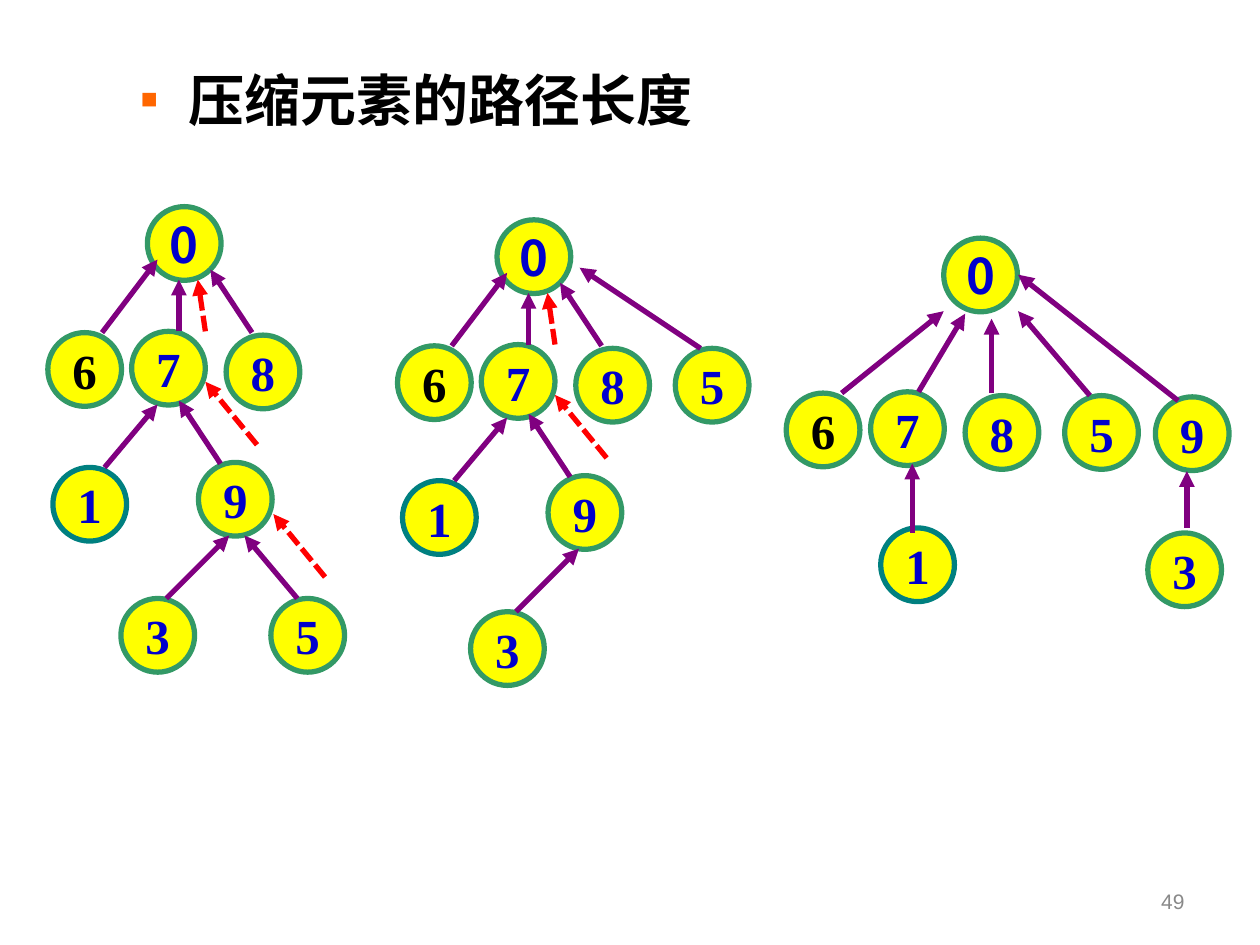
from dataclasses import dataclass

from lxml.etree import SubElement
from pptx import Presentation
from pptx.dml.color import RGBColor
from pptx.enum.dml import MSO_LINE
from pptx.enum.shapes import MSO_CONNECTOR, MSO_SHAPE
from pptx.enum.text import MSO_ANCHOR, PP_ALIGN
from pptx.oxml.ns import qn
from pptx.util import Inches, Pt

COLUMNS, ROWS = 100, 75
CELL = Inches(10) // COLUMNS
NODE_SIZE = 5.85
YELLOW, GREEN, TEAL = "FFFF00", "339966", "008080"
BLUE, BLACK, PURPLE, RED = "0000CC", "000000", "800080", "FF0000"
ORANGE, GREY = "FF6600", "898989"
SERIF, SANS = "Times New Roman", "Noto Sans CJK SC"


@dataclass(frozen=True)
class Node:
    """A labelled circle, placed in cells from its tree's origin."""
    label: str
    column: float
    row: float


@dataclass(frozen=True)
class Arrow:
    """An arrow between two points, in cells from its tree's origin."""
    start: tuple[float, float]
    end: tuple[float, float]
    dashed: bool = False


@dataclass(frozen=True)
class Tree:
    """A tree with its origin on the slide grid."""
    column: float
    row: float
    nodes: tuple[Node, ...]
    arrows: tuple[Arrow, ...]


SHARED_NODES = (
    Node("0", 7.9, 0), Node("6", 0, 10), Node("7", 6.65, 9.9),
    Node("8", 14.15, 10.2), Node("1", 0.4, 20.7), Node("9", 11.95, 20.3),
    Node("3", 5.8, 31.1),
)
SHARED_ARROWS = (
    Arrow((4.3, 10), (8.7, 4.2)),
    Arrow((10.4, 9.9), (10.4, 5.8)),
    Arrow((16.2, 10), (12.9, 5)),
    Arrow((4.5, 20.7), (8.7, 15.7)),
    Arrow((13.7, 20.4), (10.4, 15.4)),
    Arrow((9.4, 31.1), (14.4, 26.1)),
    Arrow((16.6, 18.9), (12.5, 13.9), dashed=True),
    Arrow((12.5, 9.9), (11.9, 5.8), dashed=True),
)
TREES = (
    Tree(3.8, 16.4,
         SHARED_NODES + (Node("5", 17.7, 31.1),),
         SHARED_ARROWS + (Arrow((19.8, 31.1), (15.6, 26.1)),
                          Arrow((22, 29.4), (17.9, 24.4), dashed=True))),
    Tree(31.55, 17.45,
         SHARED_NODES + (Node("5", 22.05, 10.2),),
         SHARED_ARROWS + (Arrow((24.05, 10.2), (14.45, 3.8)),)),
    Tree(62.4, 18.9,
         (Node("0", 12.5, 0), Node("6", 0, 12.3), Node("7", 6.7, 12.2),
          Node("8", 14.2, 12.5), Node("5", 22.1, 12.5), Node("9", 29.3, 12.6),
          Node("1", 7.5, 23), Node("3", 28.7, 23.4)),
         (Arrow((4.4, 12.3), (12.5, 5.8)), Arrow((10.5, 12.2), (14.2, 6)),
          Arrow((16.3, 12.3), (16.3, 6.4)), Arrow((24.1, 12.5), (18.4, 5.8)),
          Arrow((31.1, 12.9), (18.4, 2.9)), Arrow((10, 23.4), (10, 17.9)),
          Arrow((31.8, 23), (31.8, 18.5)))),
)


def cells(*counts: float) -> list[int]:
    """Turn counts of grid cells into lengths."""
    return [round(count * CELL) for count in counts]


def color(value: str) -> RGBColor:
    """Turn a hex string into a colour."""
    return RGBColor.from_string(value)


def write(shape, text: str, *, size: float, font: str, fill: str, bold: bool = False,
          align=PP_ALIGN.LEFT, anchor=MSO_ANCHOR.TOP, wrap: bool = True,
          bullet: str | None = None) -> None:
    """Write one formatted paragraph into a shape."""
    frame = shape.text_frame
    frame.word_wrap = wrap
    frame.vertical_anchor = anchor
    para = frame.paragraphs[0]
    para.alignment = align
    if bullet:
        indent = Inches(0.38)
        properties = para._p.get_or_add_pPr()
        properties.set("marL", str(indent))
        properties.set("indent", str(-indent))
        bullet_color = SubElement(properties, qn("a:buClr"))
        SubElement(bullet_color, qn("a:srgbClr"), val=ORANGE)
        SubElement(properties, qn("a:buSzPct"), val="50000")
        SubElement(properties, qn("a:buFont"), typeface="Arial")
        SubElement(properties, qn("a:buChar"), char=bullet)
    span = para.add_run()
    span.text = text
    span.font.size = Pt(size)
    span.font.bold = bold
    span.font.name = font
    span.font.color.rgb = color(fill)
    SubElement(span._r.get_or_add_rPr(), qn("a:ea"), typeface=font)


def draw_node(page, tree: Tree, node: Node) -> None:
    """Draw a circle with its label."""
    circle = page.shapes.add_shape(
        MSO_SHAPE.OVAL, *cells(tree.column + node.column, tree.row + node.row,
                               NODE_SIZE, NODE_SIZE))
    circle.shadow.inherit = False
    circle.fill.solid()
    circle.fill.fore_color.rgb = color(YELLOW)
    circle.line.color.rgb = color(TEAL if node.label == "1" else GREEN)
    circle.line.width = Pt(3)
    write(circle, node.label, size=28, bold=True, wrap=False,
          font=SANS if node.label == "0" else SERIF,
          fill=BLACK if node.label == "6" else BLUE,
          align=PP_ALIGN.CENTER, anchor=MSO_ANCHOR.MIDDLE)


def draw_arrow(page, tree: Tree, arrow: Arrow) -> None:
    """Draw a solid parent link or a dashed search step."""
    points = [place + origin for point in (arrow.start, arrow.end)
              for place, origin in zip(point, (tree.column, tree.row))]
    link = page.shapes.add_connector(MSO_CONNECTOR.STRAIGHT, *cells(*points))
    link.line.width = Pt(3)
    link.line.color.rgb = color(RED if arrow.dashed else PURPLE)
    if arrow.dashed:
        link.line.dash_style = MSO_LINE.SQUARE_DOT
    SubElement(link.line._get_or_add_ln(), qn("a:tailEnd"), type="triangle")
    SubElement(link._element.spPr, qn("a:effectLst"))


def main() -> None:
    """Build the slide and save it."""
    deck = Presentation()
    deck.slide_width, deck.slide_height = cells(COLUMNS, ROWS)
    page = deck.slides.add_slide(deck.slide_layouts[6])
    number = page.shapes.add_textbox(*cells(71.7, 69.5, 23.3, 4))
    write(number, "49", size=12, font="Arial", fill=GREY,
          align=PP_ALIGN.RIGHT, anchor=MSO_ANCHOR.MIDDLE)
    title = page.shapes.add_textbox(*cells(10.2, 4.7, 80.8, 9))
    write(title, "压缩元素的路径长度", size=32, font="Noto Sans CJK JP",
          fill=BLACK, bold=True, bullet="■")
    for tree in TREES:
        for node in tree.nodes:
            draw_node(page, tree, node)
        for arrow in tree.arrows:
            draw_arrow(page, tree, arrow)
    deck.save("out.pptx")


if __name__ == "__main__":
    main()
